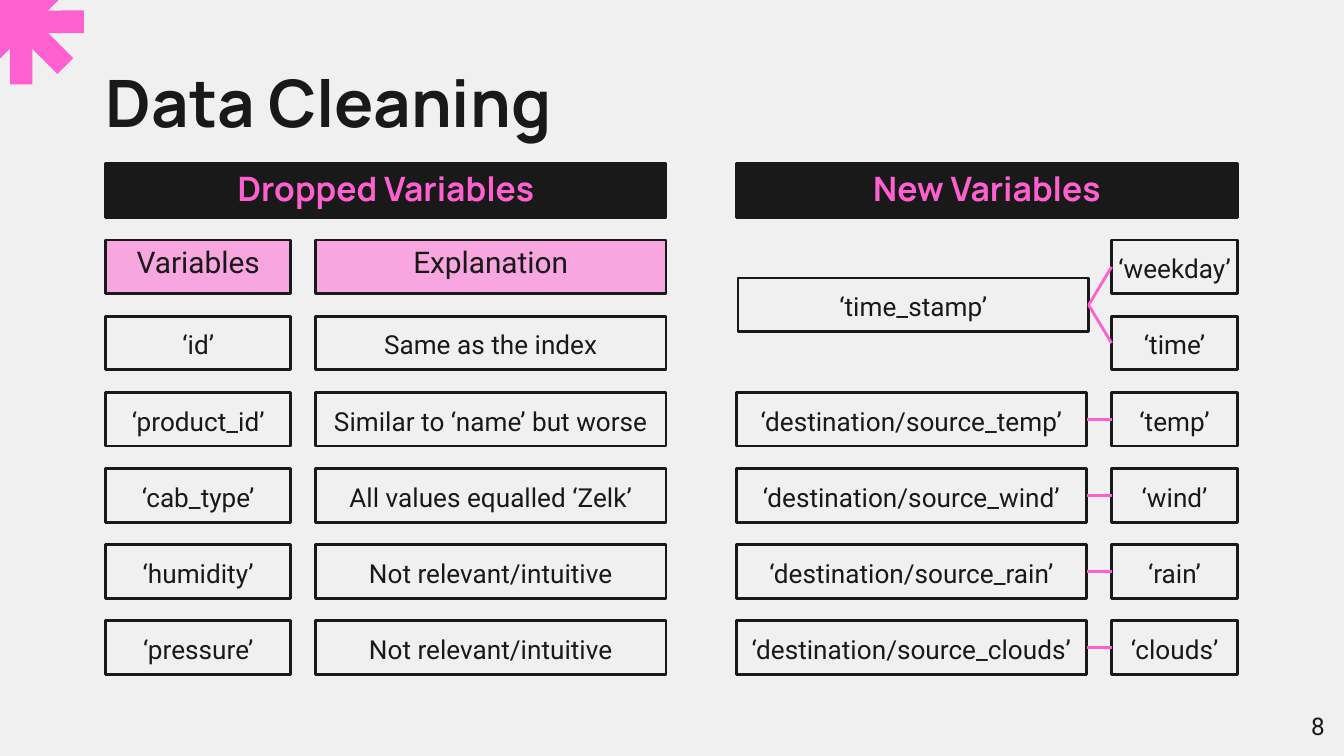
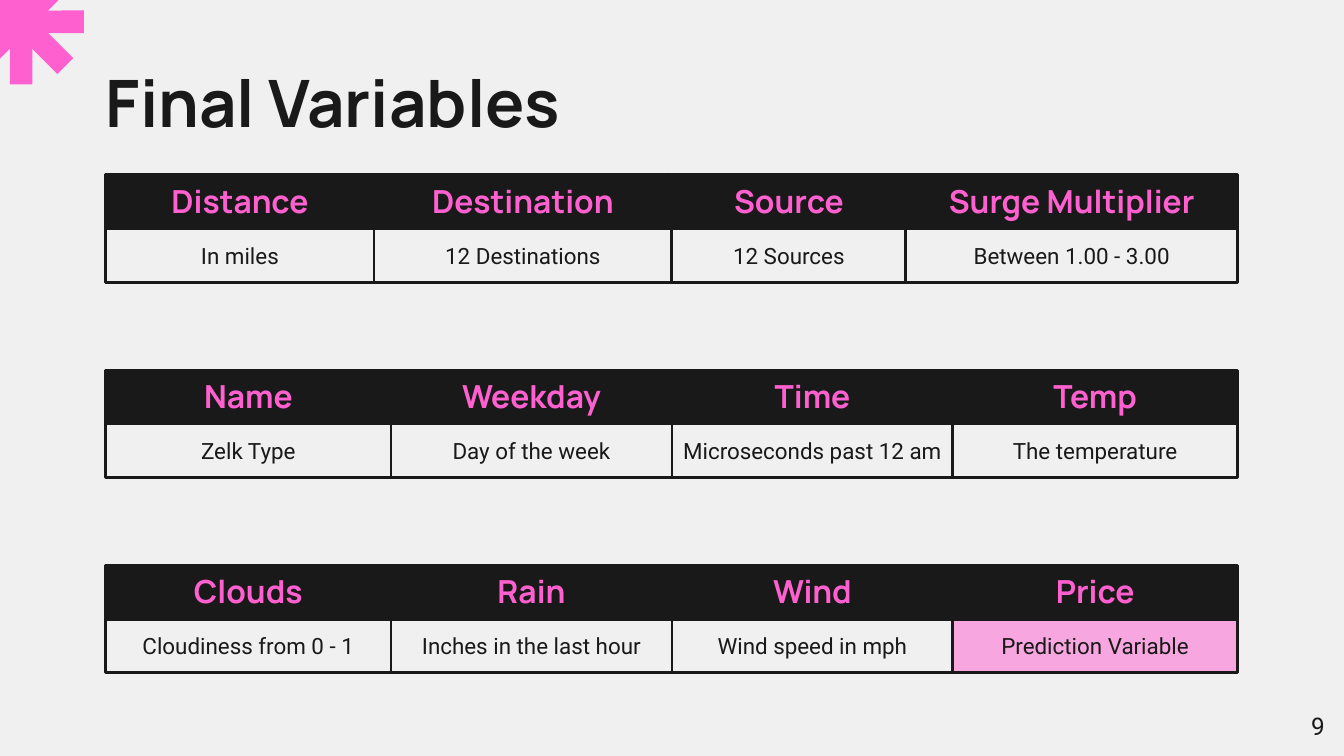
from itertools import pairwise

from lxml.etree import SubElement
from pptx import Presentation
from pptx.dml.color import RGBColor
from pptx.enum.shapes import MSO_CONNECTOR, MSO_SHAPE
from pptx.enum.text import MSO_ANCHOR as ANCHOR, PP_ALIGN as ALIGN
from pptx.oxml.ns import qn
from pptx.util import Pt

INK = RGBColor(0x19, 0x19, 0x19)
PINK = RGBColor(0xFF, 0x60, 0xCF)
PAPER = RGBColor(0xF0, 0xF0, 0xF0)
HEADING_FONT, BODY_FONT = "Manrope", "Roboto"

# Shared measures
LEFT, RIGHT = 56.7, 663
BOX_HEIGHT = 28.8
LINE_WIDTH = 1.5


def write(shape, text, font, size, color=INK, align=ALIGN.CENTER, inset=(0, 0, 0, 0)):
    """Fill a shape with one styled paragraph; inset is left, top, right, bottom."""
    frame = shape.text_frame
    frame.word_wrap = True
    frame.vertical_anchor = ANCHOR.TOP
    frame.margin_left, frame.margin_top, frame.margin_right, frame.margin_bottom = map(Pt, inset)
    frame.text = text
    paragraph = frame.paragraphs[0]
    paragraph.alignment = align
    span = paragraph.runs[0]
    span.font.name = font
    span.font.size = Pt(size)
    span.font.bold = font == HEADING_FONT
    span.font.color.rgb = color
    return paragraph


def add_box(page, text, left, top, width, size, inset, fill=None, spacing=None):
    """Add an outlined box: INK makes a heading band, PINK a half-clear highlight."""
    box = page.shapes.add_shape(MSO_SHAPE.RECTANGLE, Pt(left), Pt(top), Pt(width), Pt(BOX_HEIGHT))
    box.shadow.inherit = False
    box.line.color.rgb = INK
    box.line.width = Pt(LINE_WIDTH)
    if fill is None:
        box.fill.background()
    else:
        box.fill.solid()
        box.fill.fore_color.rgb = fill
    if fill == PINK:
        color = box.element.spPr.find(qn("a:solidFill"))[0]
        SubElement(color, qn("a:alpha")).set("val", "51000")
    font, color = (HEADING_FONT, PINK) if fill == INK else (BODY_FONT, INK)
    paragraph = write(box, text, font, size, color, inset=(0, inset, 0, 0))
    if spacing:
        paragraph.line_spacing = spacing
    return box


deck = Presentation()
deck.slide_width, deck.slide_height = Pt(720), Pt(405)

# Background, corner star, title and page number
pages = []
for number, title in enumerate(("Data Cleaning", "Final Variables"), start=8):
    page = deck.slides.add_slide(deck.slide_layouts[6])
    page.background.fill.solid()
    page.background.fill.fore_color.rgb = PAPER
    for angle in (0, 45):
        cross = page.shapes.add_shape(MSO_SHAPE.MATH_MULTIPLY, Pt(-34.4), Pt(-34), Pt(91.4), Pt(91.4))
        cross.adjustments[0] = 0.132
        cross.rotation = angle
        cross.shadow.inherit = False
        cross.fill.solid()
        cross.fill.fore_color.rgb = PINK
        cross.line.fill.background()
    title_box = page.shapes.add_textbox(Pt(LEFT), Pt(33.4), Pt(RIGHT - LEFT), Pt(36))
    write(title_box, title, HEADING_FONT, 35, align=ALIGN.LEFT)
    number_box = page.shapes.add_textbox(Pt(673.5), Pt(373.3), Pt(43.2), Pt(31))
    write(number_box, str(number), BODY_FONT, 13, align=ALIGN.RIGHT, inset=(7.2,) * 4)
    number_box.text_frame.vertical_anchor = ANCHOR.MIDDLE
    pages.append(page)
cleaning, final = pages

# Data Cleaning: headings above a grid of equal rows
BAND_TOP, ROW_STEP = 87.8, 40.8
FIRST_ROW = BAND_TOP + ROW_STEP
NAME_WIDTH, WIDE_WIDTH, NEW_WIDTH = 99, 187.8, 67.5
EXPLANATION_LEFT = 169
SOURCE_LEFT = 394.4
NEW_LEFT = RIGHT - NEW_WIDTH

add_box(cleaning, "Dropped Variables", LEFT, BAND_TOP, EXPLANATION_LEFT + WIDE_WIDTH - LEFT, 18, 2.2, INK)
add_box(cleaning, "New Variables", SOURCE_LEFT, BAND_TOP, RIGHT - SOURCE_LEFT, 18, 2.2, INK)

# Dropped variables
dropped = [
    ("Variables", "Explanation"),
    ("‘id’", "Same as the index"),
    ("‘product_id’", "Similar to ‘name’ but worse"),
    ("‘cab_type’", "All values equalled ‘Zelk’"),
    ("‘humidity’", "Not relevant/intuitive"),
    ("‘pressure’", "Not relevant/intuitive"),
]
for row, (variable, explanation) in enumerate(dropped):
    top = FIRST_ROW + row * ROW_STEP
    style = (14, 4.3, None, 1.15) if row else (16, 2.2, PINK)
    add_box(cleaning, variable, LEFT, top, NAME_WIDTH, *style)
    add_box(cleaning, explanation, EXPLANATION_LEFT, top, WIDE_WIDTH, *style)

# New variables, each source centred on the rows it leads to
sources = [
    ("‘time_stamp’", 1, ["‘weekday’", "‘time’"]),
    ("‘destination/source_temp’", 0, ["‘temp’"]),
    ("‘destination/source_wind’", 0, ["‘wind’"]),
    ("‘destination/source_rain’", 0, ["‘rain’"]),
    ("‘destination/source_clouds’", 0, ["‘clouds’"]),
]
top = FIRST_ROW
for source, shift, new_names in sources:
    source_top = top + (len(new_names) - 1) * ROW_STEP / 2
    source_box = add_box(cleaning, source, SOURCE_LEFT + shift, source_top, WIDE_WIDTH, 14, 4.3, spacing=1.15)
    for name in new_names:
        new_box = add_box(cleaning, name, NEW_LEFT, top, NEW_WIDTH, 14, 4.3, spacing=1.15)
        link = cleaning.shapes.add_connector(MSO_CONNECTOR.STRAIGHT, 0, 0, 0, 0)
        link.begin_connect(source_box, 3)
        link.end_connect(new_box, 1)
        link.line.color.rgb = PINK
        link.line.width = Pt(LINE_WIDTH)
        SubElement(link.element.spPr, qn("a:effectLst"))
        top += ROW_STEP

# Final Variables: three bands of headings with a description below each
GROUP_TOP, GROUP_STEP = 93.7, 104.6
uneven_edges = (LEFT, 200.4, 360, 485.3, RIGHT)
even_edges = (LEFT, 209.5, 360, 510.5, RIGHT)
groups = [
    (uneven_edges, [
        ("Distance", "In miles"),
        ("Destination", "12 Destinations"),
        ("Source", "12 Sources"),
        ("Surge Multiplier", "Between 1.00 - 3.00"),
    ]),
    (even_edges, [
        ("Name", "Zelk Type"),
        ("Weekday", "Day of the week"),
        ("Time", "Microseconds past 12 am"),
        ("Temp", "The temperature"),
    ]),
    (even_edges, [
        ("Clouds", "Cloudiness from 0 - 1"),
        ("Rain", "Inches in the last hour"),
        ("Wind", "Wind speed in mph"),
        ("Price", "Prediction Variable"),
    ]),
]
for index, (edges, variables) in enumerate(groups):
    top = GROUP_TOP + index * GROUP_STEP
    for (left, right), (name, description) in zip(pairwise(edges), variables):
        highlight = PINK if name == "Price" else None
        add_box(final, name, left, top, right - left, 17, 3.6, INK)
        add_box(final, description, left, top + BOX_HEIGHT, right - left, 12, 7.2, highlight)

deck.save("out.pptx")
